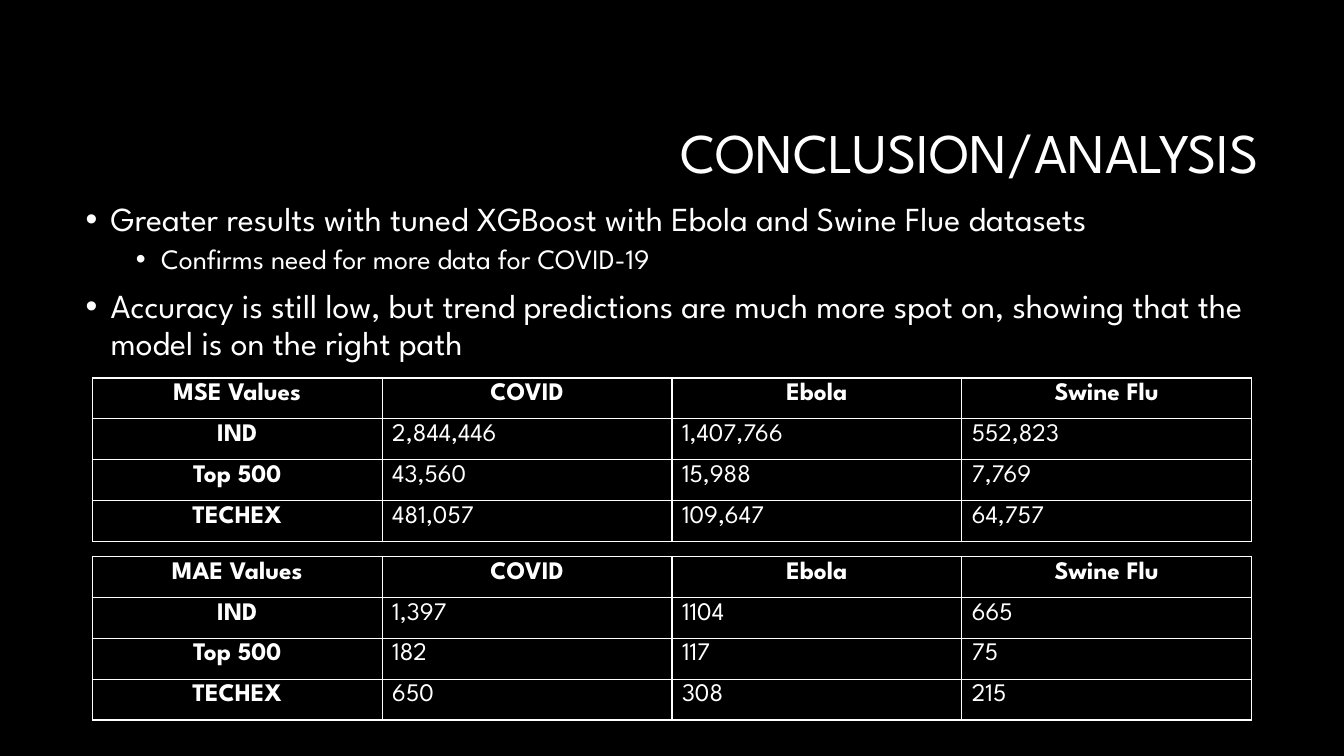
from lxml import etree
from pptx import Presentation
from pptx.dml.color import RGBColor
from pptx.enum.text import MSO_ANCHOR, PP_ALIGN
from pptx.oxml.ns import qn
from pptx.util import Pt

CENTER, LEFT, RIGHT = PP_ALIGN.CENTER, PP_ALIGN.LEFT, PP_ALIGN.RIGHT
MIDDLE = MSO_ANCHOR.MIDDLE
BLACK = RGBColor(0, 0, 0)
WHITE = RGBColor(255, 255, 255)
FONT = "League Spartan"
TABLE_LEFT, COLUMN_WIDTH, ROW_HEIGHT = 66, 207, 29.2

BULLETS = [
    (0, 24, 10, "Greater results with tuned XGBoost with Ebola and Swine Flue datasets"),
    (1, 20, 5, "Confirms need for more data for COVID-19"),
    (0, 24, 10, "Accuracy is still low, but trend predictions are much more spot on, "
                "showing that the model is on the right path"),
]
DATASETS = ["COVID", "Ebola", "Swine Flu"]
TABLES = [
    (270, [
        ["MSE Values", *DATASETS],
        ["IND", "2,844,446", "1,407,766", "552,823"],
        ["Top 500", "43,560", "15,988", "7,769"],
        ["TECHEX", "481,057", "109,647", "64,757"],
    ]),
    (397.5, [
        ["MAE Values", *DATASETS],
        ["IND", "1,397", "1104", "665"],
        ["Top 500", "182", "117", "75"],
        ["TECHEX", "650", "308", "215"],
    ]),
]


def write(para, text, size, align=LEFT, bold=False):
    para.text = text
    para.alignment = align
    para.font.name = FONT
    para.font.size = Pt(size)
    para.font.bold = bold
    para.font.color.rgb = WHITE


def add_border(cell):
    properties = cell._tc.get_or_add_tcPr()
    for side in ("lnL", "lnR", "lnT", "lnB"):
        line = etree.SubElement(properties, qn(f"a:{side}"), w=str(Pt(1)))
        fill = etree.SubElement(line, qn("a:solidFill"))
        etree.SubElement(fill, qn("a:srgbClr"), val=str(WHITE))


deck = Presentation()
deck.slide_width, deck.slide_height = Pt(960), Pt(540)
page = deck.slides.add_slide(deck.slide_layouts[6])
page.background.fill.solid()
page.background.fill.fore_color.rgb = BLACK

title = page.shapes.add_textbox(Pt(228), Pt(60.5), Pt(678.5), Pt(101.5)).text_frame
title.word_wrap = True
title.vertical_anchor = MIDDLE
write(title.paragraphs[0], "CONCLUSION/ANALYSIS", 40, RIGHT)
title.paragraphs[0].line_spacing = 0.9

body = page.shapes.add_textbox(Pt(54), Pt(141), Pt(852), Pt(317)).text_frame
body.word_wrap = True
for index, (level, size, space, text) in enumerate(BULLETS):
    para = body.add_paragraph() if index else body.paragraphs[0]
    write(para, text, size)
    para.level = level
    para.line_spacing = 0.9
    para.space_before = Pt(space)
    properties = para._p.get_or_add_pPr()
    properties.set("marL", str(Pt(18 + 36 * level)))
    properties.set("indent", str(Pt(-18)))
    etree.SubElement(properties, qn("a:buFont"), typeface="Arial")
    etree.SubElement(properties, qn("a:buChar"), char="•")

for top, rows in TABLES:
    table = page.shapes.add_table(
        len(rows), len(rows[0]), Pt(TABLE_LEFT), Pt(top),
        Pt(COLUMN_WIDTH * len(rows[0])), Pt(ROW_HEIGHT * len(rows))).table
    for column in table.columns:
        column.width = Pt(COLUMN_WIDTH)
    for row_index, values in enumerate(rows):
        table.rows[row_index].height = Pt(ROW_HEIGHT)
        for column_index, value in enumerate(values):
            cell = table.cell(row_index, column_index)
            heading = row_index == 0 or column_index == 0
            write(cell.text_frame.paragraphs[0], value, 18,
                  CENTER if heading else LEFT, heading)
            add_border(cell)
            cell.fill.background()

deck.save("out.pptx")
